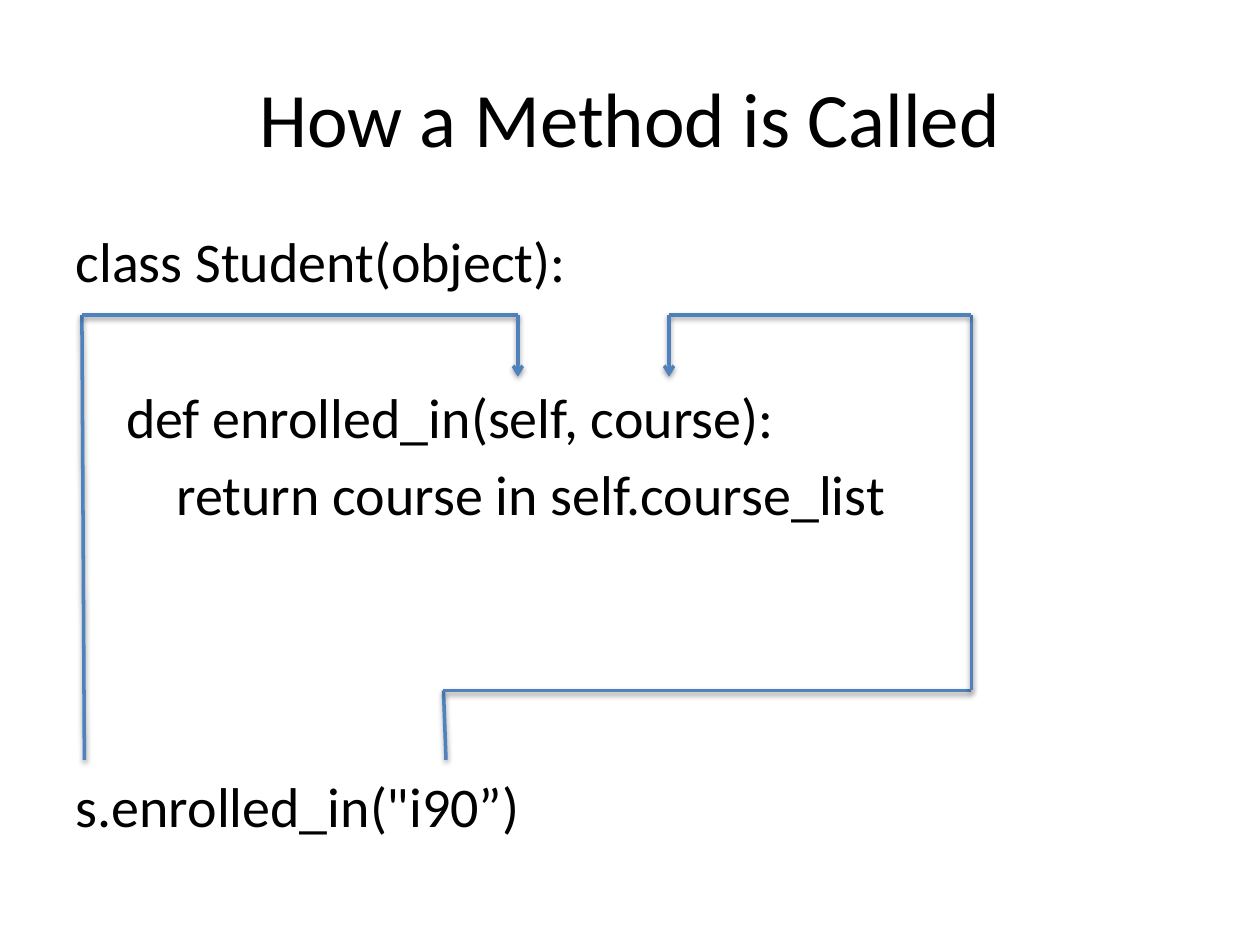
from dataclasses import dataclass
from itertools import pairwise

from lxml import etree
from pptx import Presentation
from pptx.dml.color import RGBColor
from pptx.enum.shapes import MSO_CONNECTOR
from pptx.enum.text import MSO_ANCHOR, MSO_AUTO_SIZE, PP_ALIGN
from pptx.oxml import parse_xml
from pptx.oxml.ns import nsdecls, qn
from pptx.util import Inches, Pt

STRAIGHT = MSO_CONNECTOR.STRAIGHT
CENTER, LEFT = PP_ALIGN.CENTER, PP_ALIGN.LEFT
MIDDLE, TOP = MSO_ANCHOR.MIDDLE, MSO_ANCHOR.TOP
NO_AUTOFIT = MSO_AUTO_SIZE.NONE

BLACK = RGBColor(0x00, 0x00, 0x00)
BLUE = RGBColor(0x4F, 0x81, 0xBD)
FONT = "Calibri"

SLIDE_WIDTH, SLIDE_HEIGHT = 10, 7.5
MARGIN = SLIDE_WIDTH * 0.05
CONTENT_WIDTH = SLIDE_WIDTH - 2 * MARGIN
TITLE_TOP, TITLE_HEIGHT = SLIDE_HEIGHT * 0.04, 1.25
BODY_TOP, BODY_HEIGHT = 1.75, SLIDE_HEIGHT * 0.66

INDENT = 0.4       # inches for each level of code
LINE_PITCH = 44.75  # points from one code line to the next
LINE_GAP = 5.7     # points between neighbouring code lines

# Rows shared by the two routes
CALL_ROW, TURN_ROW, TOP_ROW, PARAMETER_ROW = 6.03, 5.48, 2.5, 2.99


@dataclass(frozen=True)
class CodeLine:
    """A line of code, its indent level and the free lines above it."""
    text: str
    level: int = 0
    skipped: int = 0


CODE = (
    CodeLine("class Student(object):"),
    CodeLine("def enrolled_in(self, course):", level=1, skipped=1),
    CodeLine("return course in self.course_list", level=2),
    CodeLine('s.enrolled_in("i90”)', skipped=3),
)

# Each route leads from an argument of the call to its parameter
SELF_ROUTE = ((0.67, CALL_ROW), (0.65, TOP_ROW),
              (4.11, TOP_ROW), (4.11, PARAMETER_ROW))
COURSE_ROUTE = ((3.54, CALL_ROW), (3.52, TURN_ROW), (7.71, TURN_ROW),
                (7.71, TOP_ROW), (5.31, TOP_ROW), (5.31, PARAMETER_ROW))


def place(box, top: float, height: float, anchor) -> None:
    """Set a placeholder across the content width and fix its text frame."""
    box.left, box.top = Inches(MARGIN), Inches(top)
    box.width, box.height = Inches(CONTENT_WIDTH), Inches(height)
    frame = box.text_frame
    frame.word_wrap = True
    frame.auto_size = NO_AUTOFIT
    frame.vertical_anchor = anchor


def write(para, text: str, *, size: float, align=LEFT) -> None:
    """Put formatted text into a paragraph."""
    para.alignment = align
    span = para.add_run()
    span.text = text
    span.font.name, span.font.size = FONT, Pt(size)
    span.font.color.rgb = BLACK


def write_code(frame, lines: tuple[CodeLine, ...]) -> None:
    """Write code lines without bullets, indented by level."""
    for index, line in enumerate(lines):
        para = frame.add_paragraph() if index else frame.paragraphs[0]
        if index:
            para.space_before = Pt(LINE_GAP + line.skipped * LINE_PITCH)
        write(para, line.text, size=32)
        properties = para._p.get_or_add_pPr()
        properties.set("marL", str(Inches(line.level * INDENT)))
        properties.set("indent", "0")
        etree.SubElement(properties, qn("a:buNone"))


def draw_segment(page, start: tuple[float, float], end: tuple[float, float],
                 *, arrow: bool) -> None:
    """Draw one shadowed line, with an arrowhead at its end if asked."""
    segment = page.shapes.add_connector(
        STRAIGHT, *(Inches(value) for value in start + end))
    segment.line.color.rgb = BLUE
    segment.line.width = Pt(2)
    if arrow:
        etree.SubElement(segment.line._get_or_add_ln(), qn("a:tailEnd"), type="arrow")
    segment._element.spPr.append(parse_xml(
        f'<a:effectLst {nsdecls("a")}>'
        f'<a:outerShdw blurRad="{Pt(3.1)}" dist="{Pt(1.6)}" dir="5400000" rotWithShape="0">'
        '<a:srgbClr val="000000"><a:alpha val="38000"/></a:srgbClr>'
        '</a:outerShdw></a:effectLst>'))


def draw_route(page, points: tuple[tuple[float, float], ...]) -> None:
    """Join points with lines, ending in an arrowhead."""
    for start, end in pairwise(points):
        draw_segment(page, start, end, arrow=end == points[-1])


def build() -> None:
    """Build the slide and save it."""
    deck = Presentation()
    deck.slide_width, deck.slide_height = Inches(SLIDE_WIDTH), Inches(SLIDE_HEIGHT)
    page = deck.slides.add_slide(deck.slide_layouts.get_by_name("Title and Content"))
    title, body = page.shapes.title, page.placeholders[1]
    place(title, TITLE_TOP, TITLE_HEIGHT, MIDDLE)
    write(title.text_frame.paragraphs[0], "How a Method is Called", size=44, align=CENTER)
    place(body, BODY_TOP, BODY_HEIGHT, TOP)
    write_code(body.text_frame, CODE)
    for route in (SELF_ROUTE, COURSE_ROUTE):
        draw_route(page, route)
    deck.save("out.pptx")


build()
